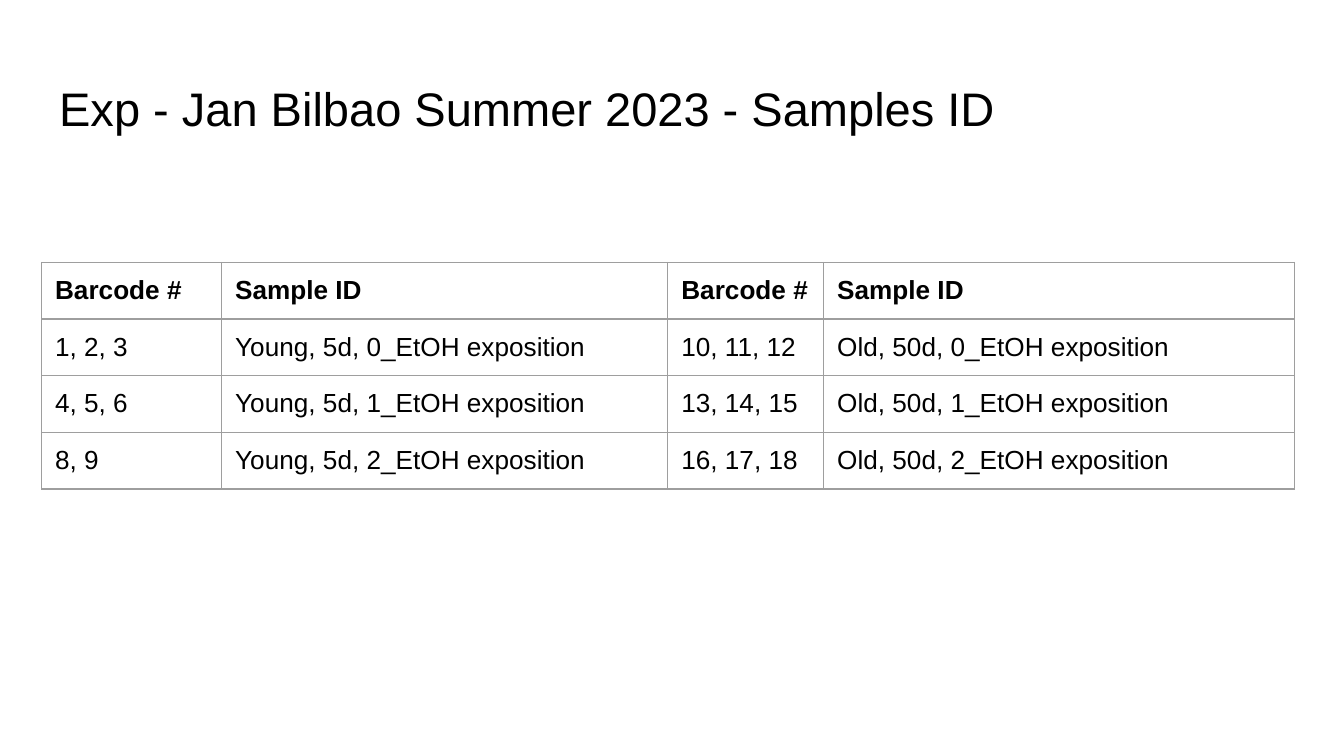
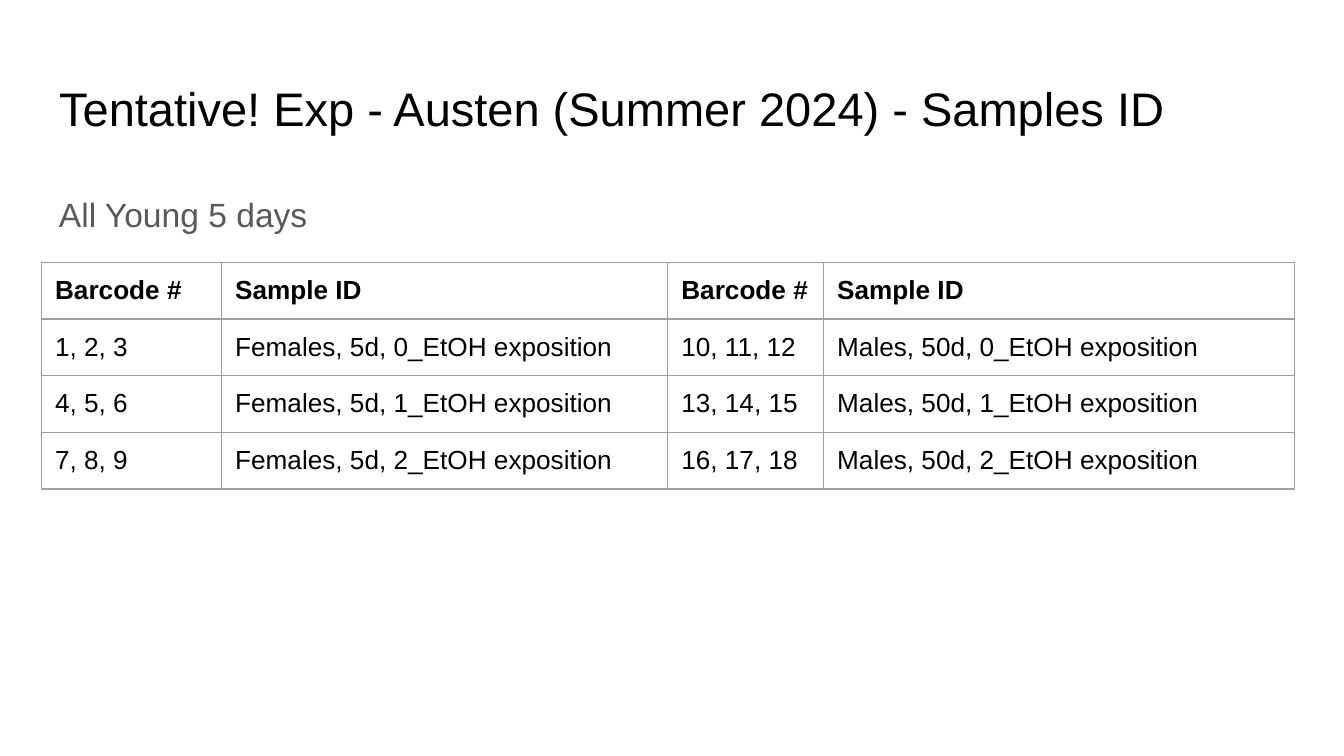
from lxml import etree
from pptx import Presentation
from pptx.dml.color import RGBColor
from pptx.enum.text import MSO_ANCHOR, MSO_AUTO_SIZE, PP_ALIGN
from pptx.oxml.ns import qn
from pptx.util import Inches, Pt

LEFT = PP_ALIGN.LEFT
TOP, MIDDLE = MSO_ANCHOR.TOP, MSO_ANCHOR.MIDDLE
FIXED = MSO_AUTO_SIZE.NONE

BLACK = RGBColor(0x00, 0x00, 0x00)
GRAY = RGBColor(0x59, 0x59, 0x59)
RULE = RGBColor(0x9E, 0x9E, 0x9E)

FONT = "Arial"
PAD = Inches(0.1)
PADS = dict.fromkeys(
    ("margin_left", "margin_top", "margin_right", "margin_bottom"), PAD)
TITLE = {"name": FONT, "size": Pt(25.2), "bold": False}
NOTE = {"name": FONT, "size": Pt(18), "bold": False}
CELL = {"name": FONT, "size": Pt(14), "bold": False}
HEAD = CELL | {"bold": True}

# Places and sizes in percent of the slide
TITLE_BOX = (3.4, 8.7, 93.2, 11.2)
NOTE_BOX = (3.4, 23.1, 35.1, 8.4)
GRID_AT = (3.1, 34.7)
COLS = (13.4, 33.2, 11.6, 35)
ROW = 7.5
LABELS = ("Barcode #", "Sample ID") * 2


def apply(item, values):
    for key, value in values.items():
        setattr(item, key, value)


class Deck:
    def __init__(self):
        self.prs = Presentation()
        self.prs.slide_width = Inches(10)
        self.prs.slide_height = Inches(5.625)
        self.slide = None

    def x(self, share):
        return round(self.prs.slide_width * share / 100)

    def y(self, share):
        return round(self.prs.slide_height * share / 100)

    def place(self, box):
        left, top, wide, high = box
        return self.x(left), self.y(top), self.x(wide), self.y(high)

    def label(self, frame, text, style, color):
        para = frame.paragraphs[0]
        para.alignment = LEFT
        run = para.add_run()
        run.text = text
        apply(run.font, style)
        run.font.color.rgb = color
        return para

    def title(self, text):
        self.slide = self.prs.slides.add_slide(self.prs.slide_layouts[5])
        shape = self.slide.shapes.title
        spots = ("left", "top", "width", "height")
        apply(shape, dict(zip(spots, self.place(TITLE_BOX))))
        frame = shape.text_frame
        apply(frame, PADS | {"word_wrap": True, "auto_size": FIXED,
                             "vertical_anchor": MIDDLE})
        self.label(frame, text, TITLE, BLACK)

    def note(self, text):
        frame = self.slide.shapes.add_textbox(*self.place(NOTE_BOX)).text_frame
        apply(frame, PADS | {"word_wrap": True, "vertical_anchor": TOP})
        self.label(frame, text, NOTE, GRAY).line_spacing = 1.15

    def border(self, cell):
        props = cell._tc.get_or_add_tcPr()
        for side in ("a:lnL", "a:lnR", "a:lnT", "a:lnB"):
            line = etree.SubElement(props, qn(side), w=str(int(Pt(0.75))))
            fill = etree.SubElement(line, qn("a:solidFill"))
            etree.SubElement(fill, qn("a:srgbClr"), val=str(RULE))

    def table(self, rows):
        box = (*GRID_AT, sum(COLS), ROW * len(rows))
        table = self.slide.shapes.add_table(
            len(rows), len(COLS), *self.place(box)).table
        apply(table, {"first_row": False, "horz_banding": False})
        for col, wide in zip(table.columns, COLS):
            col.width = self.x(wide)
        for r, row in enumerate(rows):
            table.rows[r].height = self.y(ROW)
            for c, text in enumerate(row):
                cell = table.cell(r, c)
                apply(cell, PADS | {"vertical_anchor": TOP})
                self.border(cell)
                cell.fill.background()
                self.label(cell.text_frame, text, CELL if r else HEAD, BLACK)

    def samples(self, first, second, codes):
        rows = [LABELS]
        for dose, (one, two) in enumerate(codes):
            tail = f"{dose}_EtOH exposition"
            rows.append((one, f"{first}, 5d, {tail}",
                         two, f"{second}, 50d, {tail}"))
        self.table(rows)


def main():
    deck = Deck()
    late = ("10, 11, 12", "13, 14, 15", "16, 17, 18")

    # Summer 2023
    deck.title("Exp - Jan Bilbao Summer 2023 - Samples ID")
    deck.samples("Young", "Old", zip(("1, 2, 3", "4, 5, 6", "8, 9"), late))

    # Summer 2024
    deck.title("Tentative! Exp - Austen (Summer 2024) - Samples ID")
    deck.samples("Females", "Males",
                 zip(("1, 2, 3", "4, 5, 6", "7, 8, 9"), late))
    deck.note("All Young 5 days")

    deck.prs.save("out.pptx")


if __name__ == "__main__":
    main()
